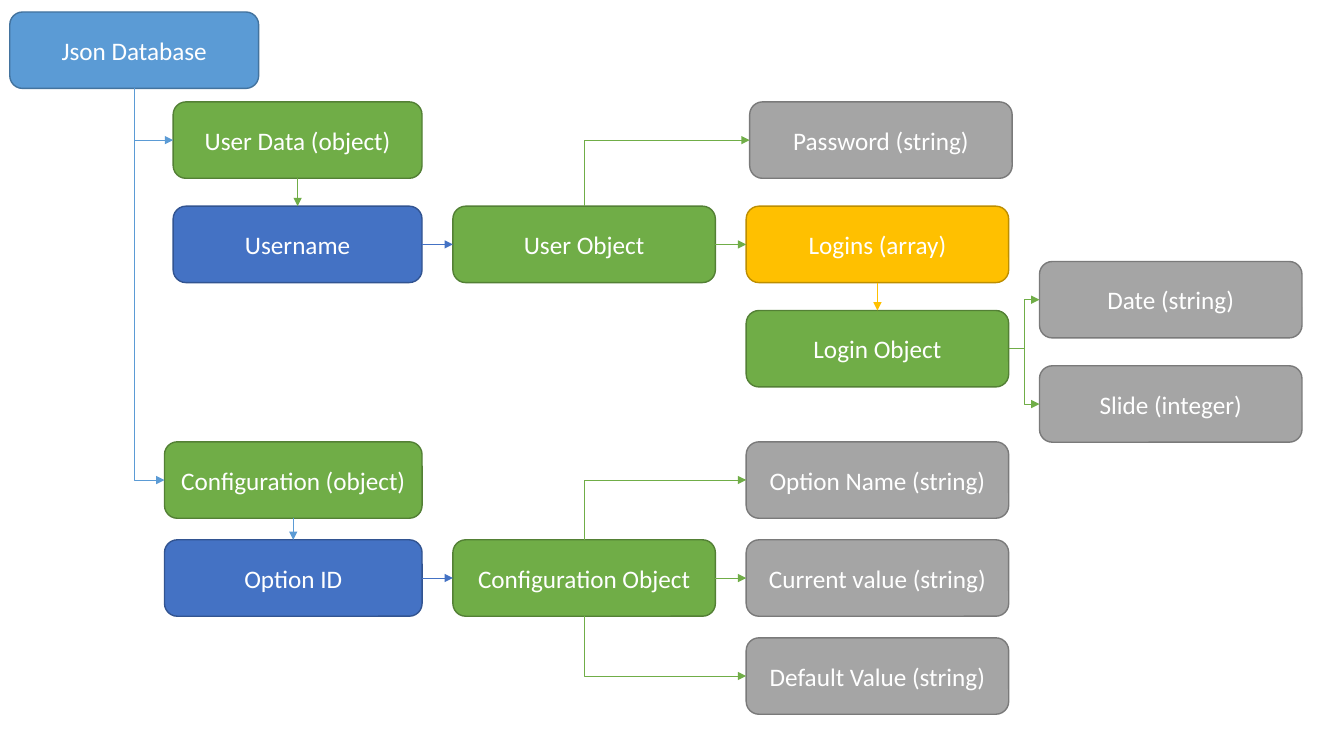
from collections import namedtuple

from lxml.etree import SubElement
from pptx import Presentation
from pptx.dml.color import RGBColor
from pptx.enum.shapes import MSO_CONNECTOR, MSO_SHAPE
from pptx.enum.text import MSO_ANCHOR, PP_ALIGN
from pptx.oxml.ns import qn
from pptx.util import Pt

Box = namedtuple("Box", "left top width height")

# Fill and outline of each kind of node
NODE_COLOURS = {
    "database": ("5B9BD5", "43739E"),
    "object": ("70AD47", "538035"),
    "key": ("4472C4", "325491"),
    "array": ("FFC000", "BD8E00"),
    "value": ("A5A5A5", "7A7A7A"),
}
FRAME_FORMAT = {"word_wrap": True, "vertical_anchor": MSO_ANCHOR.MIDDLE}
FONT_FORMAT = {"name": "Calibri", "size": Pt(18)}

# Connection sites of a rounded rectangle
TOP, LEFT, BOTTOM, RIGHT = range(4)

NODE_HEIGHT = 54.6
OBJECT_WIDTH = 187.5
COLUMN_GAP = 22


def colour(hex_code):
    return RGBColor.from_string(hex_code)


def apply_format(target, values):
    for attribute, value in values.items():
        setattr(target, attribute, value)


def add_node(slide, kind, label, left, top, width=OBJECT_WIDTH):
    fill, outline = NODE_COLOURS[kind]
    node = slide.shapes.add_shape(MSO_SHAPE.ROUNDED_RECTANGLE, Pt(left), Pt(top),
                                  Pt(width), Pt(NODE_HEIGHT))
    node.shadow.inherit = False
    node.fill.solid()
    node.fill.fore_color.rgb = colour(fill)
    node.line.color.rgb = colour(outline)
    node.line.width = Pt(1)
    apply_format(node.text_frame, FRAME_FORMAT)
    paragraph = node.text_frame.paragraphs[0]
    paragraph.alignment = PP_ALIGN.CENTER
    run = paragraph.add_run()
    run.text = label
    apply_format(run.font, FONT_FORMAT)
    run.font.color.rgb = colour("FFFFFF")
    return node


def link(slide, source, source_site, target, target_site, kind,
         route=MSO_CONNECTOR.STRAIGHT):
    """Arrow in the colour of a node kind, glued to both nodes."""
    arrow = slide.shapes.add_connector(route, 0, 0, 0, 0)
    arrow.begin_connect(source, source_site)
    arrow.end_connect(target, target_site)
    arrow.line.color.rgb = colour(NODE_COLOURS[kind][0])
    arrow.line.width = Pt(0.5)
    properties = arrow._element.spPr
    SubElement(properties.find(qn("a:ln")), qn("a:tailEnd"), type="triangle")
    SubElement(properties, qn("a:effectLst"))
    return arrow


def link_corner(slide, source, source_site, target, kind):
    """Arrow with one corner: vertical from the source, then right."""
    arrow = link(slide, source, source_site, target, LEFT, kind, MSO_CONNECTOR.ELBOW)
    across, down = arrow.width, arrow.height
    rising = source_site == TOP
    # The corner preset starts horizontally, so turn it about its centre
    arrow.left += (across - down) // 2
    arrow.top += (down - across) // 2
    arrow.width, arrow.height = down, across
    properties = arrow._element.spPr
    properties.find(qn("a:prstGeom")).set("prst", "bentConnector2")
    turn = {"rot": str((90 if rising else 270) * 60000),
            "flipH": "1", "flipV": "1" if rising else "0"}
    for attribute, value in turn.items():
        properties.find(qn("a:xfrm")).set(attribute, value)


def draw_user_branch(slide, box):
    pitch = 74.5
    username_top, login_top = box.top + pitch, box.top + 2 * pitch
    object_left = box.left + box.width + COLUMN_GAP
    value_left = object_left + OBJECT_WIDTH + COLUMN_GAP
    field_left = value_left + OBJECT_WIDTH + COLUMN_GAP

    # Nodes
    user_data = add_node(slide, "object", "User Data (object)",
                         box.left, box.top, box.width)
    username = add_node(slide, "key", "Username", box.left, username_top, box.width)
    user = add_node(slide, "object", "User Object", object_left, username_top)
    password = add_node(slide, "value", "Password (string)", value_left + 2.5, box.top)
    logins = add_node(slide, "array", "Logins (array)", value_left, username_top)
    login = add_node(slide, "object", "Login Object", value_left, login_top)

    # Links
    link(slide, user_data, BOTTOM, username, TOP, "object")
    link(slide, username, RIGHT, user, LEFT, "key")
    link(slide, user, RIGHT, logins, LEFT, "object")
    link_corner(slide, user, TOP, password, "object")
    link(slide, logins, BOTTOM, login, TOP, "array")

    # Fields of a login
    for row, label in enumerate(("Date (string)", "Slide (integer)")):
        field = add_node(slide, "value", label, field_left, login_top - 35 + row * pitch)
        link(slide, login, RIGHT, field, LEFT, "object", MSO_CONNECTOR.ELBOW)
    return user_data


def draw_configuration_branch(slide, box):
    pitch = 70
    option_top = box.top + pitch
    object_left = box.left + box.width + COLUMN_GAP
    value_left = object_left + OBJECT_WIDTH + COLUMN_GAP

    # Nodes
    configuration = add_node(slide, "object", "Configuration (object)",
                             box.left, box.top, box.width)
    option_id = add_node(slide, "key", "Option ID", box.left, option_top, box.width)
    option = add_node(slide, "object", "Configuration Object", object_left, option_top)
    name, current, default = [
        add_node(slide, "value", label, value_left, box.top + row * pitch)
        for row, label in enumerate(("Option Name (string)", "Current value (string)",
                                     "Default Value (string)"))]

    # Links
    link(slide, configuration, BOTTOM, option_id, TOP, "database")
    link(slide, option_id, RIGHT, option, LEFT, "key")
    link(slide, option, RIGHT, current, LEFT, "object")
    link_corner(slide, option, TOP, name, "object")
    link_corner(slide, option, BOTTOM, default, "object")
    return configuration


def draw_database(slide, box):
    database = add_node(slide, "database", "Json Database", box.left, box.top, box.width)
    branches = (
        draw_user_branch(slide, Box(box.left + 116.7, box.top + 64.2, 177.8, 203.6)),
        draw_configuration_branch(slide, Box(box.left + 110.5, box.top + 307, 184, 194.6)),
    )
    for branch in branches:
        link_corner(slide, database, BOTTOM, branch, "database")


presentation = Presentation()
presentation.slide_width, presentation.slide_height = Pt(960), Pt(540)
schema = presentation.slides.add_slide(presentation.slide_layouts[6])
draw_database(schema, Box(7, 8.6, 177.8, 501.6))
presentation.save("out.pptx")
